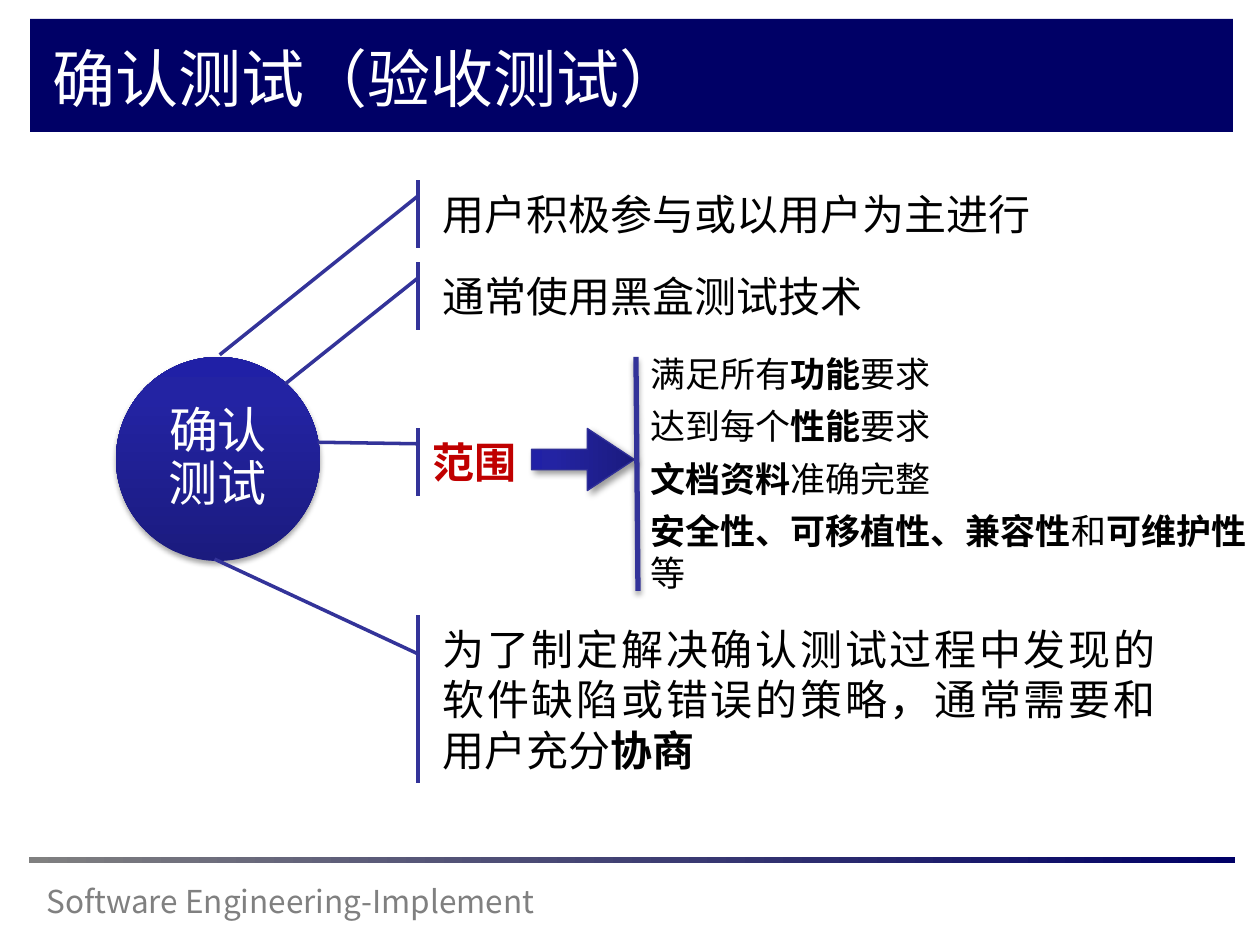
"""Build the slide on validation (acceptance) testing."""
import pptx
import pptx.dml.color
import pptx.enum.shapes
import pptx.enum.text
import pptx.oxml.ns
import pptx.util
from lxml import etree

SHAPE = pptx.enum.shapes.MSO_SHAPE
ALIGN = pptx.enum.text.PP_ALIGN
ANCHOR = pptx.enum.text.MSO_ANCHOR
FIT = pptx.enum.text.MSO_AUTO_SIZE
EMU_PER_PX = 914400 / 126


def px(*lengths):
    return [pptx.util.Emu(round(length * EMU_PER_PX)) for length in lengths]


def rgb(value):
    return pptx.dml.color.RGBColor.from_string(value)


def child(parent, tag, **attributes):
    return etree.SubElement(parent, pptx.oxml.ns.qn(tag), attributes)


def write(frame, text, size=24, color="000000", font="Noto Sans CJK SC", align=ALIGN.LEFT,
          anchor=ANCHOR.TOP, fit=FIT.NONE, after=None, spacing=None, inset=None):
    """Fill a frame with one paragraph per line; asterisks enclose bold words."""
    frame.word_wrap, frame.auto_size, frame.vertical_anchor = True, fit, anchor
    if inset is not None:
        inset, = px(inset)
        frame.margin_left = frame.margin_right = inset
        frame.margin_top = frame.margin_bottom = inset
    for index, line in enumerate(text.split("\n")):
        paragraph = frame.add_paragraph() if index else frame.paragraphs[0]
        paragraph.alignment = align
        if after is not None:
            paragraph.space_after = pptx.util.Pt(after)
        if spacing is not None:
            paragraph.line_spacing = spacing
        for position, words in enumerate(line.split("*")):
            if words:
                run = paragraph.add_run()
                run.text = words
                run.font.size = pptx.util.Pt(size)
                run.font.bold = position % 2 == 1
                run.font.color.rgb = rgb(color)
                run.font.name = font
                child(run._r.get_or_add_rPr(), "a:ea", typeface=font)


class Deck:
    """Hold the style and the current slide."""

    navy, gray, blue = "000066", "808080", "333399"
    glossy = [(0, "1B1B7E"), (80, "2323A3"), (100, "2020A6")]

    def __init__(self):
        self.file = pptx.Presentation()
        self.file.slide_width, self.file.slide_height = px(1260, 945)
        self.slide = self.file.slides.add_slide(self.file.slide_layouts[5])
        self.shapes = self.slide.shapes

    def title(self, box, text, **style):
        title = self.shapes.title
        title.left, title.top, title.width, title.height = px(*box)
        write(title.text_frame, text, **style)
        self.shapes._spTree.append(title._element)

    def text(self, box, text, **style):
        write(self.shapes.add_textbox(*px(*box)).text_frame, text, **style)

    def shape(self, kind, box, fill, line=None, width=1.0, adjust=()):
        shape = self.shapes.add_shape(kind, *px(*box))
        shape.shadow.inherit = False
        for index, value in enumerate(adjust):
            shape.adjustments[index] = value
        if isinstance(fill, str):
            shape.fill.solid()
            shape.fill.fore_color.rgb = rgb(fill)
        if line:
            shape.line.color.rgb = rgb(line)
            shape.line.width = pptx.util.Pt(width)
        else:
            shape.line.fill.background()
        return shape

    def gradient(self, kind, box, stops, angle, **style):
        shape = self.shape(kind, box, None, **style)
        shape.fill.background()
        properties = shape._element.spPr
        empty = properties.find(pptx.oxml.ns.qn("a:noFill"))
        fill = child(properties, "a:gradFill", rotWithShape="1")
        stop_list = child(fill, "a:gsLst")
        for place, color in stops:
            stop = child(stop_list, "a:gs", pos=str(place * 1000))
            child(stop, "a:srgbClr", val=color)
        child(fill, "a:lin", ang=str(angle * 60000), scaled="0")
        properties.replace(empty, fill)
        return shape

    def shadow(self, shape, alpha, blur, distance, angle):
        properties = shape._element.spPr
        effects = properties.find(pptx.oxml.ns.qn("a:effectLst"))
        if effects is None:
            effects = child(properties, "a:effectLst")
        outer = child(effects, "a:outerShdw", blurRad=str(pptx.util.Pt(blur)),
                      dist=str(pptx.util.Pt(distance)), dir=str(angle * 60000),
                      rotWithShape="0")
        color = child(outer, "a:srgbClr", val="000000")
        child(color, "a:alpha", val=str(alpha * 1000))

    def callout(self, box, target, text, **style):
        callout = self.shape(SHAPE.LINE_CALLOUT_1_ACCENT_BAR, box, "FFFFFF", self.blue, 2,
                             (0.232, -0.016, *target))
        write(callout.text_frame, text, align=ALIGN.JUSTIFY, anchor=ANCHOR.MIDDLE, **style)

    def line(self, start, end, color, width):
        line = self.shapes.add_connector(pptx.enum.shapes.MSO_CONNECTOR.STRAIGHT,
                                         *px(*start, *end))
        line.line.color.rgb = rgb(color)
        line.line.width = pptx.util.Pt(width)
        return line


def main():
    deck = Deck()
    deck.shape(SHAPE.RECTANGLE, (30, 19, 1203, 113), deck.navy)
    deck.text((34, 876, 651, 50), "Software Engineering-Implement", size=18, color=deck.gray,
              fit=FIT.SHAPE_TO_FIT_TEXT)
    deck.gradient(SHAPE.RECTANGLE, (29, 857, 1206, 6), [(0, deck.gray), (100, deck.navy)], 0)
    deck.title((40, 33, 1110, 93), "确认测试（验收测试）", size=36, color="FFFFFF")

    topic = deck.gradient(SHAPE.OVAL, (116, 357, 204, 204), deck.glossy, 270)
    deck.shadow(topic, 35, 3.1, 1.8, 90)
    write(topic.text_frame, "确认测试", size=28, color="FFFFFF", align=ALIGN.CENTER,
          anchor=ANCHOR.MIDDLE, spacing=0.9, inset=6)

    deck.callout((430, 180, 738, 68), (2.57, -0.285), "用户积极参与或以用户为主进行")
    deck.callout((430, 262, 738, 68), (1.79, -0.196), "通常使用黑盒测试技术")
    deck.callout((420, 428, 132, 68), (0.21, -0.775), "*范围*", color="C00000")
    deck.callout((430, 615, 738, 168), (-0.333, -0.292),
                 "为了制定解决确认测试过程中发现的软件缺陷或错误的策略，通常需要和用户充分*协商*")

    arrow = deck.gradient(SHAPE.DOWN_ARROW, (552, 408, 62, 103), deck.glossy, 270,
                          line="2F2F98", width=0.75, adjust=(0.327, 0.759))
    arrow.rotation = 270
    deck.shadow(arrow, 40, 4, 3, 45)
    scope_bar = deck.line((638, 591), (636, 357), deck.blue, 3)
    deck.shadow(scope_bar, 35, 3.1, 1.8, 90)
    deck.text((638, 346, 622, 257),
              "满足所有*功能*要求\n达到每个*性能*要求\n*文档资料*准确完整\n"
              "*安全性、可移植性、兼容性*和*可维护性*等",
              size=20, after=6, fit=FIT.SHAPE_TO_FIT_TEXT)
    deck.file.save("out.pptx")


if __name__ == "__main__":
    main()
